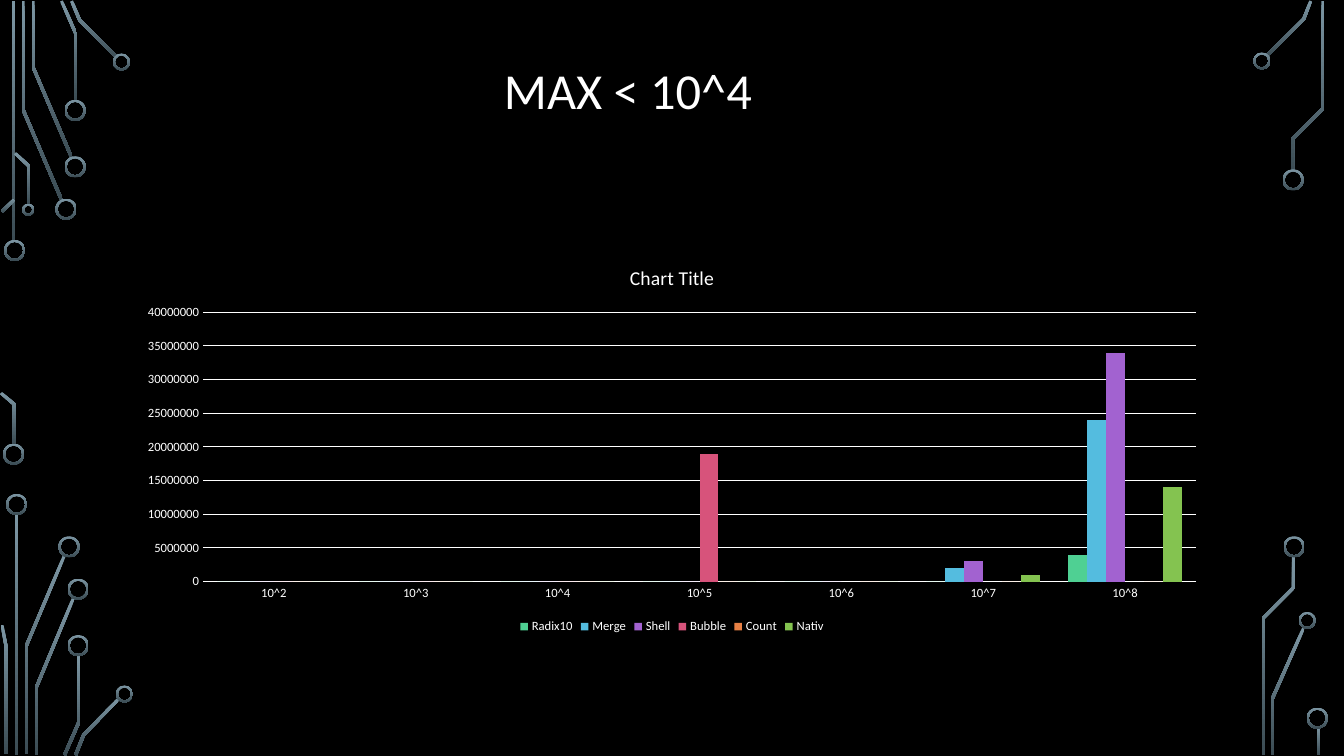
from dataclasses import dataclass
from math import hypot

from pptx import Presentation
from pptx import util as u
from pptx.chart import data as cd
from pptx.dml import color as co
from pptx.enum import chart as ce, shapes as se, text as te


@dataclass(frozen=True)
class Theme:
    font: str = "Calibri"
    back: str = "000000"
    ink: str = "FFFFFF"
    light: str = "7C96A3"
    dark: str = "3B4C54"
    title: int = 36
    head: int = 14
    small: int = 9


THEME = Theme()
WIDTH = 0.03
RIM = 0.02
MILLION = 1000000

BARS = [(0.12, 0.01, 2.39), (0.15, 5.1, 2.39), (13.06, 7.21, 0.28)]

TRACKS = [
    [(0.23, 0.01), (0.23, 1.09), (0.61, 1.98)],
    [(0.33, 0.01), (0.33, 0.67), (0.71, 1.56)],
    [(0.61, 0.01), (0.75, 0.33), (0.75, 1)],
    [(0.71, 0.01), (0.79, 0.2), (1.16, 0.57)],
    [(0.02, 2.1), (0.14, 1.98)],
    [(0.01, 3.9), (0.14, 4.01), (0.14, 4.41)],
    [(0.15, 1.52), (0.29, 1.65), (0.29, 2.03)],
    [(0.26, 7.48), (0.26, 6.41), (0.64, 5.51)],
    [(0.02, 6.2), (0.06, 6.41), (0.06, 7.48)],
    [(0.36, 7.49), (0.36, 6.82), (0.73, 5.93)],
    [(0.64, 7.49), (0.78, 7.17), (0.78, 6.5)],
    [(0.75, 7.49), (0.83, 7.29), (1.18, 6.93)],
    [(12.57, 0.55), (12.93, 0.19), (13, 0.01)],
    [(12.62, 7.49), (12.62, 6.93), (12.93, 6.23)],
    [(12.82, 1.69), (12.82, 1.38), (13.12, 1.08), (13.12, 0.01)],
    [(12.53, 7.49), (12.53, 6.13), (12.83, 5.83), (12.83, 5.52)],
]

RINGS = {
    0.21: [(0.04, 2.38), (0.03, 4.4), (0.55, 1.97), (0.64, 1.55), (0.64, 0.99),
           (0.06, 4.9), (0.58, 5.32), (0.67, 5.74), (0.67, 6.3),
           (12.72, 1.68), (12.73, 5.32), (12.96, 7.02)],
    0.17: [(1.12, 0.53), (1.15, 6.8), (12.43, 0.52), (12.88, 6.07)],
    0.12: [(0.22, 2.02)],
}

CATS = [f"10^{n}" for n in range(2, 9)]
SERIES = [
    ("Radix10", "4FD093", [0, 0, 0, 0, 0, 0, 4]),
    ("Merge", "54BCDF", [0, 0, 0, 0, 0, 2, 24]),
    ("Shell", "A262D0", [0, 0, 0, 0, 0, 3, 34]),
    ("Bubble", "D7537B", [0, 0, 0, 19, None, None, None]),
    ("Count", "E78045", [0, 0, 0, 0, 0, 0, 0]),
    ("Nativ", "84C350", [0, 0, 0, 0, 0, 1, 14]),
]


def rgb(code):
    return co.RGBColor.from_string(code)


def style(font, size):
    font.name = THEME.font
    font.size = u.Pt(size)
    font.bold = False
    font.color.rgb = rgb(THEME.ink)


def shade(shape):
    shape.shadow.inherit = False
    shape.line.fill.background()
    shape.fill.gradient()
    shape.fill.gradient_angle = 270
    for stop, code in zip(shape.fill.gradient_stops, (THEME.light, THEME.dark)):
        stop.color.rgb = rgb(code)


def add_bar(slide, x, y, tall):
    shade(slide.shapes.add_shape(
        se.MSO_SHAPE.RECTANGLE, *map(u.Inches, (x, y, WIDTH, tall))))


def add_ring(slide, x, y, size):
    ring = slide.shapes.add_shape(
        se.MSO_SHAPE.DONUT, *map(u.Inches, (x, y, size, size)))
    ring.adjustments[0] = RIM / size
    shade(ring)


def normal(start, end):
    dx, dy = end[0] - start[0], end[1] - start[1]
    size = hypot(dx, dy)
    return -dy / size, dx / size


def edges(track):
    sides = [normal(a, b) for a, b in zip(track, track[1:])]
    left, right = [], []
    for (x, y), (ax, ay), (bx, by) in zip(
            track, sides[:1] + sides, sides + sides[-1:]):
        scale = WIDTH / 2 / (1 + ax * bx + ay * by)
        mx, my = (ax + bx) * scale, (ay + by) * scale
        left.append((u.Inches(x + mx), u.Inches(y + my)))
        right.append((u.Inches(x - mx), u.Inches(y - my)))
    return left + right[::-1]


def add_track(slide, track):
    first, *rest = edges(track)
    form = slide.shapes.build_freeform(*first)
    form.add_line_segments(rest, close=True)
    shade(form.convert_to_shape())


def add_title(slide, words):
    box = slide.shapes.add_textbox(*map(u.Inches, (4.9, 0.12, 2.98, 1.61)))
    frame = box.text_frame
    frame.word_wrap = True
    frame.vertical_anchor = te.MSO_ANCHOR.MIDDLE
    line = frame.paragraphs[0]
    line.text = words
    line.line_spacing = 0.9
    style(line.font, THEME.title)


def add_chart(slide):
    data = cd.CategoryChartData(number_format="General")
    data.categories = CATS
    for name, _, vals in SERIES:
        data.add_series(name, [v if v is None else v * MILLION for v in vals])
    chart = slide.shapes.add_chart(
        ce.XL_CHART_TYPE.COLUMN_CLUSTERED,
        *map(u.Inches, (1.25, 2.46, 10.83, 3.87)), data).chart
    style(chart.font, THEME.small)

    chart.has_title = True
    head = chart.chart_title.text_frame.paragraphs[0]
    head.text = "Chart Title"
    style(head.font, THEME.head)

    chart.has_legend = True
    chart.legend.position = ce.XL_LEGEND_POSITION.BOTTOM
    chart.legend.include_in_layout = False
    style(chart.legend.font, THEME.small)

    for axis in (chart.category_axis, chart.value_axis):
        axis.major_tick_mark = axis.minor_tick_mark = ce.XL_TICK_MARK.NONE
        axis.format.line.fill.background()
        style(axis.tick_labels.font, THEME.small)
    grid = chart.value_axis.major_gridlines.format.line
    grid.color.rgb = rgb(THEME.ink)
    grid.width = u.Pt(0.75)

    plot = chart.plots[0]
    plot.gap_width = 150
    plot.overlap = 0
    plot.vary_by_categories = False
    for bars, (_, code, _) in zip(plot.series, SERIES):
        bars.invert_if_negative = False
        bars.format.fill.solid()
        bars.format.fill.fore_color.rgb = rgb(code)


def main():
    deck = Presentation()
    deck.slide_width, deck.slide_height = u.Inches(13.33), u.Inches(7.5)
    slide = deck.slides.add_slide(deck.slide_layouts[6])
    slide.background.fill.solid()
    slide.background.fill.fore_color.rgb = rgb(THEME.back)
    for bar in BARS:
        add_bar(slide, *bar)
    for track in TRACKS:
        add_track(slide, track)
    for size, spots in RINGS.items():
        for x, y in spots:
            add_ring(slide, x, y, size)
    add_title(slide, "MAX < 10^4")
    add_chart(slide)
    deck.save("out.pptx")


if __name__ == "__main__":
    main()
